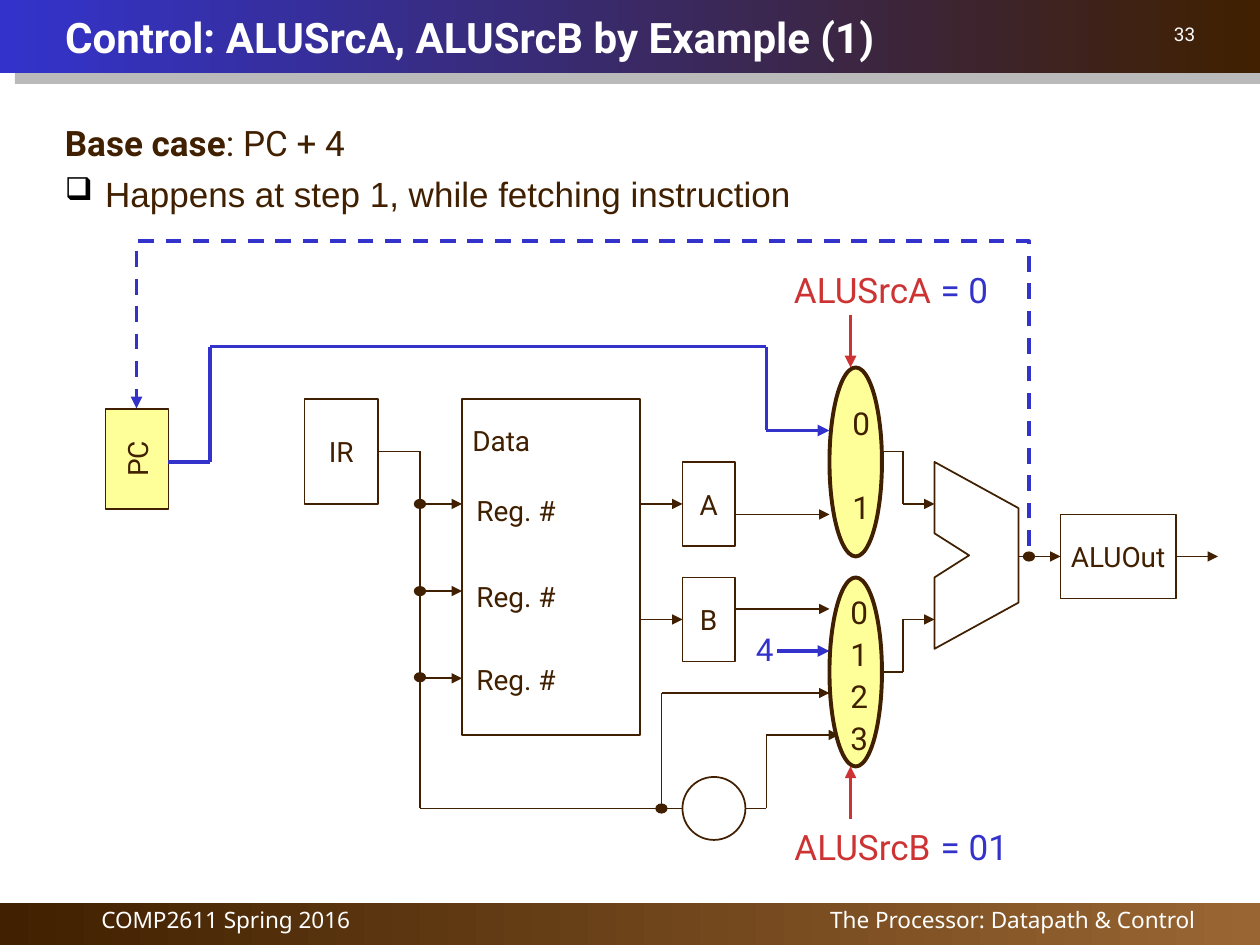
import itertools

import pptx
import pptx.dml.color
import pptx.enum.dml
import pptx.enum.shapes
import pptx.enum.text
import pptx.oxml
import pptx.oxml.ns
import pptx.util
from lxml import etree

RGBColor = pptx.dml.color.RGBColor
BROWN = RGBColor(0x40, 0x20, 0x00)
TAN = RGBColor(0x99, 0x66, 0x33)
BLUE = RGBColor(0x33, 0x33, 0xCC)
RED = RGBColor(0xCD, 0x33, 0x33)
YELLOW = RGBColor(0xFF, 0xFF, 0x99)
WHITE = RGBColor(0xFF, 0xFF, 0xFF)

SHAPE = pptx.enum.shapes.MSO_SHAPE
ALIGN = pptx.enum.text.PP_ALIGN
ANCHOR = pptx.enum.text.MSO_ANCHOR
AUTO_SIZE = pptx.enum.text.MSO_AUTO_SIZE
TOP, LEFT, BOTTOM, RIGHT = range(4)
THIN, THICK = 1, 2.25
GRID_CM = 25.4 / 120


def grid(*steps):
    return [pptx.util.Cm(step * GRID_CM) for step in steps]


def apply(target, values):
    for attribute, value in values.items():
        setattr(target, attribute, value)


def add_xml(parent, tag, **attributes):
    return etree.SubElement(parent, pptx.oxml.ns.qn(tag), attributes)


def write(paragraph, text, size, color=BROWN, font="Roboto", bold=False):
    run = paragraph.add_run()
    run.text = text
    apply(run.font, {"name": font, "size": pptx.util.Pt(size), "bold": bold})
    run.font.color.rgb = color


def style_line(line, color, width, arrow=False, dashed=False):
    line.color.rgb = color
    line.width = pptx.util.Pt(width)
    if dashed:
        line.dash_style = pptx.enum.dml.MSO_LINE.DASH
    if arrow:
        add_xml(line.fill._xPr, "a:tailEnd", type="triangle")


def bar(slide, box, colors):
    strip = slide.shapes.add_shape(SHAPE.RECTANGLE, *grid(*box))
    strip.shadow.inherit = False
    strip.line.fill.background()
    strip.fill.gradient()
    strip.fill.gradient_angle = 0
    for stop, color, position in zip(strip.fill.gradient_stops, colors, (0, 1)):
        stop.color.rgb = color
        stop.position = position
    return strip


def drop_shadow(shape):
    effects = shape.element.spPr.find(pptx.oxml.ns.qn("a:effectLst"))
    shadow = add_xml(effects, "a:outerShdw", dist=str(pptx.util.Pt(10.4)),
                     dir="2100000", algn="ctr", rotWithShape="0")
    color = add_xml(shadow, "a:srgbClr", val="777777")
    add_xml(color, "a:alpha", val="50000")


def block(slide, box, text="", fill=WHITE, kind=SHAPE.RECTANGLE, width=THIN, rotation=0):
    part = slide.shapes.add_shape(kind, *grid(*box))
    part.shadow.inherit = False
    part.rotation = rotation
    part.fill.solid()
    part.fill.fore_color.rgb = fill
    style_line(part.line, BROWN, width)
    if text:
        apply(part.text_frame, {"word_wrap": False, "vertical_anchor": ANCHOR.MIDDLE})
        paragraph = part.text_frame.paragraphs[0]
        paragraph.alignment = ALIGN.CENTER
        write(paragraph, text, 16)
    return part


def label(slide, box, text, size, color=BROWN, align=ALIGN.LEFT):
    caption = slide.shapes.add_textbox(*grid(*box))
    apply(caption.text_frame, {"word_wrap": False, "auto_size": AUTO_SIZE.SHAPE_TO_FIT_TEXT})
    paragraph = caption.text_frame.paragraphs[0]
    paragraph.alignment = align
    write(paragraph, text, size, color)


def strip_text(slide, box, text, size, font, align, spacing):
    note = slide.shapes.add_textbox(*grid(*box))
    note.text_frame.word_wrap = True
    paragraph = note.text_frame.paragraphs[0]
    apply(paragraph, {"alignment": align, "line_spacing": spacing,
                      "space_before": pptx.util.Pt(8.8)})
    write(paragraph, text, size, WHITE, font)


def wire(slide, points, color=BROWN, width=THIN, arrow=True, source=None, target=None):
    segments = list(itertools.pairwise(points))
    for index, (start, end) in enumerate(segments):
        ends = grid(*start, *end)
        segment = slide.shapes.add_connector(pptx.enum.shapes.MSO_CONNECTOR.STRAIGHT, *ends)
        is_last = index == len(segments) - 1
        if source and index == 0:
            segment.begin_connect(source, BOTTOM if source.rotation else RIGHT)
        if target and is_last:
            segment.end_connect(target, LEFT)
        apply(segment, dict(zip(("begin_x", "begin_y", "end_x", "end_y"), ends)))
        style_line(segment.line, color, width, arrow and is_last)
        add_xml(segment.element.spPr, "a:effectLst")


def outline(slide, points, closed):
    corners = [tuple(grid(*point)) for point in points]
    builder = slide.shapes.build_freeform(*corners[0], scale=1.0)
    builder.add_line_segments(corners[1:], close=closed)
    shape = builder.convert_to_shape()
    shape.shadow.inherit = False
    return shape


def add_frame(slide):
    drop_shadow(bar(slide, (0, 0, 120, 7), (BLUE, BROWN)))
    bar(slide, (0, 86, 120, 4), (BROWN, TAN))
    strip_text(slide, (3, 86, 37, 4), "COMP2611 Spring 2016", 12.9, "Noto Sans", ALIGN.CENTER, 0.9)
    strip_text(slide, (55, 86, 60, 4), "The Processor: Datapath & Control", 12.9,
               "Noto Sans", ALIGN.RIGHT, 0.9)
    strip_text(slide, (90, 2, 25, 4), "33", 10.8, "Roboto", ALIGN.RIGHT, 0.8)
    title = slide.shapes.title
    apply(title, dict(zip(("left", "top", "width", "height"), grid(5, 0, 110, 7))))
    apply(title.text_frame, {"vertical_anchor": ANCHOR.MIDDLE, "auto_size": AUTO_SIZE.NONE,
                             "word_wrap": True})
    heading = title.text_frame.paragraphs[0]
    heading.alignment = ALIGN.LEFT
    write(heading, "Control: ALUSrcA, ALUSrcB by Example (1)", 24, WHITE, bold=True)
    slide.shapes.element.append(title.element)


def add_explanation(slide):
    frame = slide.shapes.add_textbox(*grid(5, 11, 110, 72)).text_frame
    frame.word_wrap = True
    base_case, timing = frame.paragraphs[0], frame.add_paragraph()
    write(base_case, "Base case", 20, bold=True)
    write(base_case, ": PC + 4", 20)
    write(timing, "Happens at step 1, while fetching instruction", 20, font="Arial")
    indent = pptx.util.Cm(0.81)
    for paragraph in (base_case, timing):
        paragraph.space_before = pptx.util.Pt(5)
        properties = paragraph._p.get_or_add_pPr()
        properties.set("marL", str(indent))
        properties.set("indent", str(-indent))
    bullet = timing._p.get_or_add_pPr()
    add_xml(add_xml(bullet, "a:buClr"), "a:srgbClr", val="000000")
    add_xml(bullet, "a:buSzPct", val="90000")
    add_xml(bullet, "a:buChar", char="❑")


def add_datapath(slide):
    pc = block(slide, (8.3, 40.7, 9.5, 6), "PC", YELLOW, rotation=270)
    ir = block(slide, (29, 38, 7, 10), "IR")
    block(slide, (44, 38, 17, 32))
    a = block(slide, (65, 44, 5, 8), "A")
    b = block(slide, (65, 55, 5, 8), "B")
    alu_out = block(slide, (101, 49, 11, 8), "ALUOut")

    wire(slide, [(36, 43), (40, 43), (40, 77), (73, 77), (73, 70), (79.9, 70)], source=ir)
    for y in (48, 56.3, 64.6):
        wire(slide, [(40, y), (44, y)])
    wire(slide, [(61, 48), (65, 48)], target=a)
    wire(slide, [(61, 59), (65, 59)], target=b)
    for y in (49, 58):
        wire(slide, [(70, y), (79, y)])
    wire(slide, [(63, 77), (63, 66), (79, 66)])
    for mux_y, alu_y in ((43, 48), (64, 59)):
        wire(slide, [(84, mux_y), (86, mux_y), (86, alu_y), (89, alu_y)])
    wire(slide, [(97, 53), (101, 53)], target=alu_out)
    wire(slide, [(112, 53), (116, 53)], source=alu_out)

    alu = outline(slide, [(89, 44), (97, 48.4), (97, 57.4), (89, 61.8),
                          (89, 55), (92.3, 52.9), (89, 50.8)], True)
    alu.fill.solid()
    alu.fill.fore_color.rgb = WHITE
    style_line(alu.line, BROWN, THIN)
    block(slide, (65, 74, 6, 6), kind=SHAPE.OVAL)
    for x, y in ((40, 48), (40, 56.3), (40, 64.5), (98, 53), (63, 77)):
        block(slide, (x - 0.5, y - 0.4, 1, 0.8), fill=BROWN, kind=SHAPE.OVAL)

    label(slide, (43.8, 39.7, 8.3, 4.4), "Data", 16)
    for y in (46.4, 54.6, 62.5):
        label(slide, (44.2, y, 10.3, 4.4), "Reg. #", 16)
    for mux_y, x, first_y, step, inputs in ((35, 80, 37.9, 8, "01"), (55, 79.8, 55.9, 4, "0123")):
        block(slide, (79, mux_y, 5, 18), fill=YELLOW, kind=SHAPE.OVAL, width=THICK)
        for index, digit in enumerate(inputs):
            label(slide, (x, first_y + index * step, 4.1, 4.8), digit, 18)

    wire(slide, [(16, 44), (20, 44), (20, 33), (73, 33), (73, 41), (79, 41)],
         BLUE, THICK, source=pc)
    wire(slide, [(74, 62), (79, 62)], BLUE, THICK)
    label(slide, (70.8, 59.4, 4.1, 4.8), "4", 18, BLUE)
    write_back = outline(slide, [(98, 52), (98, 23), (13, 23), (13, 38.9)], False)
    write_back.fill.background()
    style_line(write_back.line, BLUE, THICK, arrow=True, dashed=True)


def add_control_signals(slide):
    for name, value, value_width, y, start, end in (("ALUSrcA", "= 0", 7.1, 25, 30, 35),
                                                    ("ALUSrcB", "= 01", 9, 78, 78, 73)):
        wire(slide, [(81, start), (81, end)], RED, THICK)
        label(slide, (74.3, y, 15.7, 5.3), name, 20, RED, ALIGN.CENTER)
        label(slide, (88.3, y, value_width, 5.3), value, 20, BLUE, ALIGN.CENTER)


def main():
    deck = pptx.Presentation()
    apply(deck, {"slide_width": pptx.util.Cm(25.4), "slide_height": pptx.util.Cm(19.05)})
    slide = deck.slides.add_slide(deck.slide_layouts[5])
    add_frame(slide)
    add_explanation(slide)
    add_datapath(slide)
    add_control_signals(slide)
    deck.save("out.pptx")


if __name__ == "__main__":
    main()
